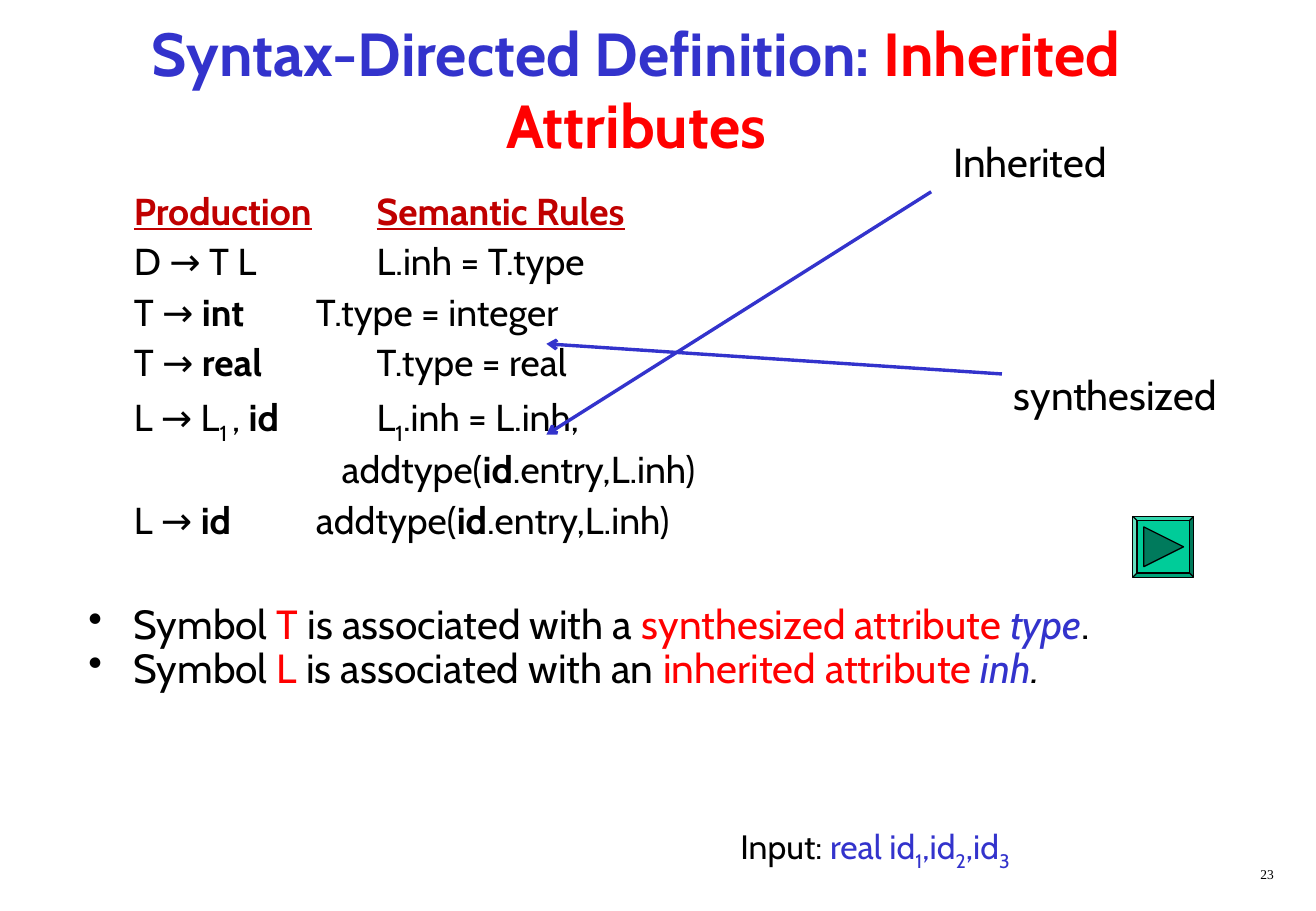
import pptx
import pptx.util
import pptx.dml.color
import pptx.enum.shapes
import pptx.enum.text
import pptx.oxml
import pptx.oxml.ns

Cm, Pt = pptx.util.Cm, pptx.util.Pt
ALIGN = pptx.enum.text.PP_ALIGN
SHAPE = pptx.enum.shapes.MSO_SHAPE
INCH = 2.54
INDENT = 0.95

COLORS = {
    "black": "000000",
    "blue": "3333CC",
    "red": "FF0000",
    "head": "C00000",
    "green": "00CC99",
    "dark": "007A5C",
}

BOLD = {"bold": True}
SUB = {"base": -25}
RED = {"color": "red"}
BLUE = {"color": "blue"}
HEAD = {"color": "head", "bold": True, "under": True}
TYPE = {"color": "blue", "italic": True}


def color(name):
    return pptx.dml.color.RGBColor.from_string(COLORS[name])


def add_xml(parent, tag, inner="", **attrs):
    """Append one drawing element to parent."""
    words = "".join(f' {key}="{val}"' for key, val in attrs.items())
    space = pptx.oxml.ns.nsdecls("a")
    parent.append(pptx.oxml.parse_xml(f"<a:{tag} {space}{words}>{inner}</a:{tag}>"))


def add_run(para, text, size=24, font="Cabin", color_name=None, **fmt):
    """Add text with bold, italic, under, base or color."""
    run = para.add_run()
    run.text = text
    face = run.font
    face.size, face.name = Pt(size), font
    face.bold = fmt.get("bold", False)
    face.italic = fmt.get("italic", False)
    face.underline = fmt.get("under", False)
    face.color.rgb = color(fmt.get("color", "black"))
    if "base" in fmt:
        run._r.get_or_add_rPr().set("baseline", str(fmt["base"] * 1000))


class Board:
    def __init__(self, slide):
        self.slide = slide
        self.shapes = slide.shapes

    def box(self, left, top, width, height, middle=False):
        shape = self.shapes.add_textbox(Cm(left), Cm(top), Cm(width), Cm(height))
        frame = shape.text_frame
        frame.word_wrap = True
        if middle:
            frame.vertical_anchor = pptx.enum.text.MSO_ANCHOR.MIDDLE
        return frame

    def para(self, frame, parts, first=False, align=ALIGN.LEFT, left=0,
             bullet=False, tabs=False, before=0, lines=None, **style):
        """Fill one paragraph with parts, each a text and its format."""
        para = frame.paragraphs[0] if first else frame.add_paragraph()
        props = para._p.get_or_add_pPr()
        props.set("marL", str(Cm(left)))
        props.set("indent", str(Cm(-left if bullet else 0)))
        if bullet:
            add_xml(props, "buClr", f'<a:srgbClr val="{COLORS["black"]}"/>')
            add_xml(props, "buChar", char="•")
        if tabs:
            stops = (f'<a:tab pos="{Cm(n * INCH)}" algn="l"/>' for n in range(1, 8))
            add_xml(props, "tabLst", "".join(stops))
        para.alignment = align
        if not first:
            para.space_before = Pt(before)
        if lines:
            para.line_spacing = lines
        for text, fmt in parts:
            add_run(para, text, **{**style, **fmt})

    def label(self, place, parts, middle=False, **style):
        self.para(self.box(*place, middle=middle), parts, first=True, **style)

    def arrow(self, x1, y1, x2, y2):
        line = self.shapes.add_connector(
            pptx.enum.shapes.MSO_CONNECTOR.STRAIGHT, Cm(x1), Cm(y1), Cm(x2), Cm(y2))
        line.line.color.rgb = color("blue")
        line.line.width = Pt(2)
        props = line._element.spPr
        add_xml(props.find(pptx.oxml.ns.qn("a:ln")), "tailEnd", type="arrow")
        add_xml(props, "effectLst")

    def paint(self, shape, fill):
        shape.shadow.inherit = False
        shape.fill.solid()
        shape.fill.fore_color.rgb = color(fill)
        shape.line.color.rgb = color("black")
        shape.line.width = Pt(0.75)

    def button(self, left, top, side):
        """Draw a bevelled button with a forward triangle."""
        base = self.shapes.add_shape(SHAPE.BEVEL, Cm(left), Cm(top), Cm(side), Cm(side))
        base.adjustments[0] = 0.07
        self.paint(base, "green")
        x, y = left + 0.23, top + 0.22
        pen = self.shapes.build_freeform(Cm(x), Cm(y))
        pen.add_line_segments([(Cm(x + 0.83), Cm(top + side / 2)),
                               (Cm(x), Cm(top + side - 0.22))])
        self.paint(pen.convert_to_shape(), "dark")


RULES = [
    [("D → T L\t\tL.inh = T.type", {})],
    [("T → ", {}), ("int\t\t", BOLD), ("T.type = integer", {})],
    [("T → ", {}), ("real\t\t", BOLD), ("T.type = real", {})],
    [("L → L", {}), ("1 ", SUB), (", ", {}), ("id\t\t", BOLD),
     ("L", {}), ("1", SUB), (".inh = L.inh,", {})],
    [("addtype(", {}), ("id", BOLD), (".entry,L.inh)", {})],
    [("L → ", {}), ("id\t\t", BOLD), ("addtype(", {}), ("id", BOLD),
     (".entry,L.inh)", {})],
]
WRAPPED = 4

NOTES = [
    [("Symbol ", {}), ("T", RED), (" is associated with a ", {}),
     ("synthesized attribute ", RED), ("type", TYPE), (".", {})],
    [("Symbol ", {}), ("L", RED), (" is associated with an ", {}),
     ("inherited attribute ", RED), ("inh", TYPE), (".", {"italic": True})],
]


def main():
    deck = pptx.Presentation()
    deck.slide_width, deck.slide_height = Cm(27.53), Cm(19.05)
    board = Board(deck.slides.add_slide(deck.slide_layouts[6]))

    board.label((0.84, 0.64, 24.94, 2.41),
                [("Syntax-Directed Definition: ", BLUE), ("Inherited Attributes", RED)],
                middle=True, align=ALIGN.CENTER, size=36, bold=True)

    body = board.box(1.6, 3.81, 24.43, 13.77)
    board.para(body, [("Production", HEAD), (" \t", {}), ("Semantic Rules", HEAD)],
               first=True, left=INDENT, tabs=True, size=22.2)
    for row, parts in enumerate(RULES):
        left = 5.3 if row == WRAPPED else INDENT
        board.para(body, parts, left=left, tabs=True, before=6, lines=0.9, size=22.2)
    for parts, before in zip(NOTES, (36.7, 0)):
        board.para(body, parts, left=INDENT, bullet=True, before=before,
                   lines=0.9, size=24.1)

    board.arrow(19.48, 4.01, 11.43, 9.09)
    board.label((19.69, 2.74, 5.08, 1.27), [("Inherited", {})])
    board.label((20.96, 7.62, 5.08, 2.29), [("synthesized", {})])
    board.arrow(20.96, 7.82, 11.43, 7.19)

    board.label((21.16, 17.98, 5.74, 0.64), [("23", {})],
                align=ALIGN.RIGHT, size=8, font="Times New Roman")
    ids = [part for n, lead in zip("123", ("real id", ",id", ",id"))
           for part in ((lead, BLUE), (n, {**BLUE, **SUB}))]
    board.label((15.24, 17.15, 8, 1.22), [("Input: ", {}), *ids], size=20)
    board.button(23.7, 10.8, 1.27)

    deck.save("out.pptx")


if __name__ == "__main__":
    main()
